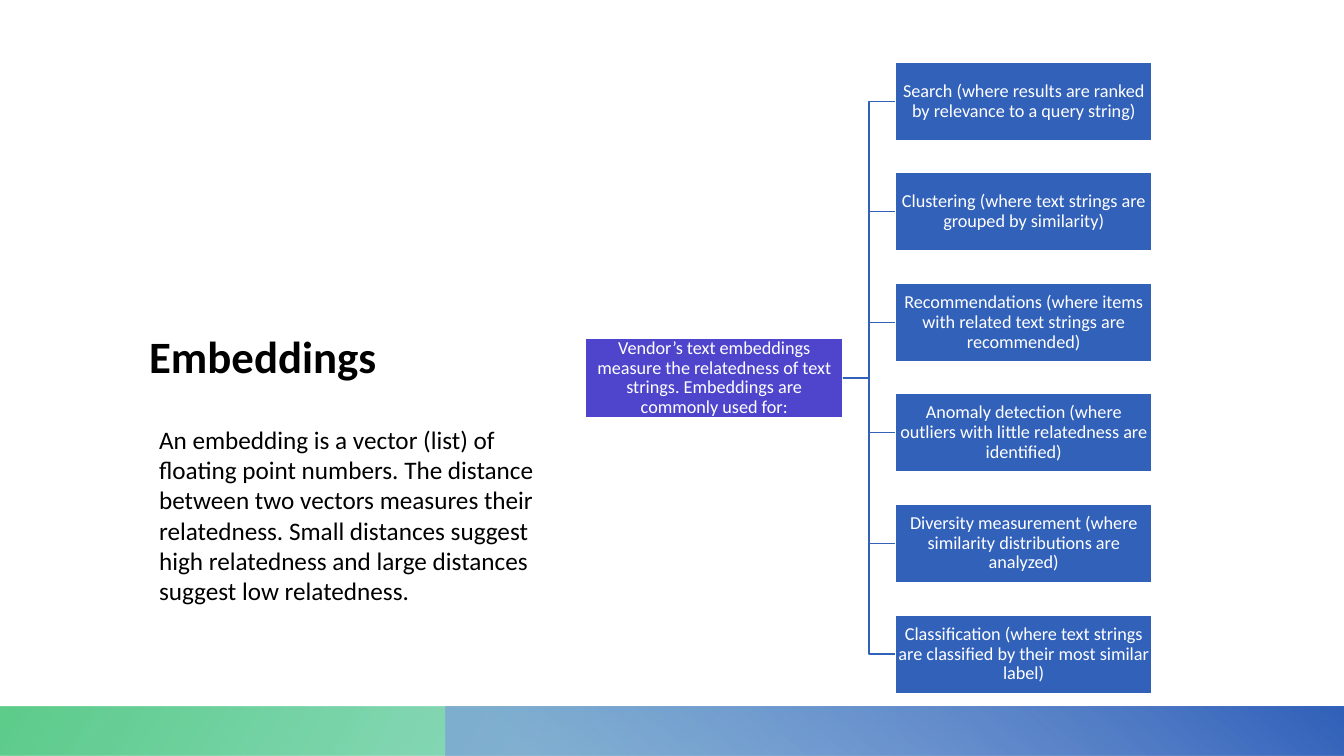
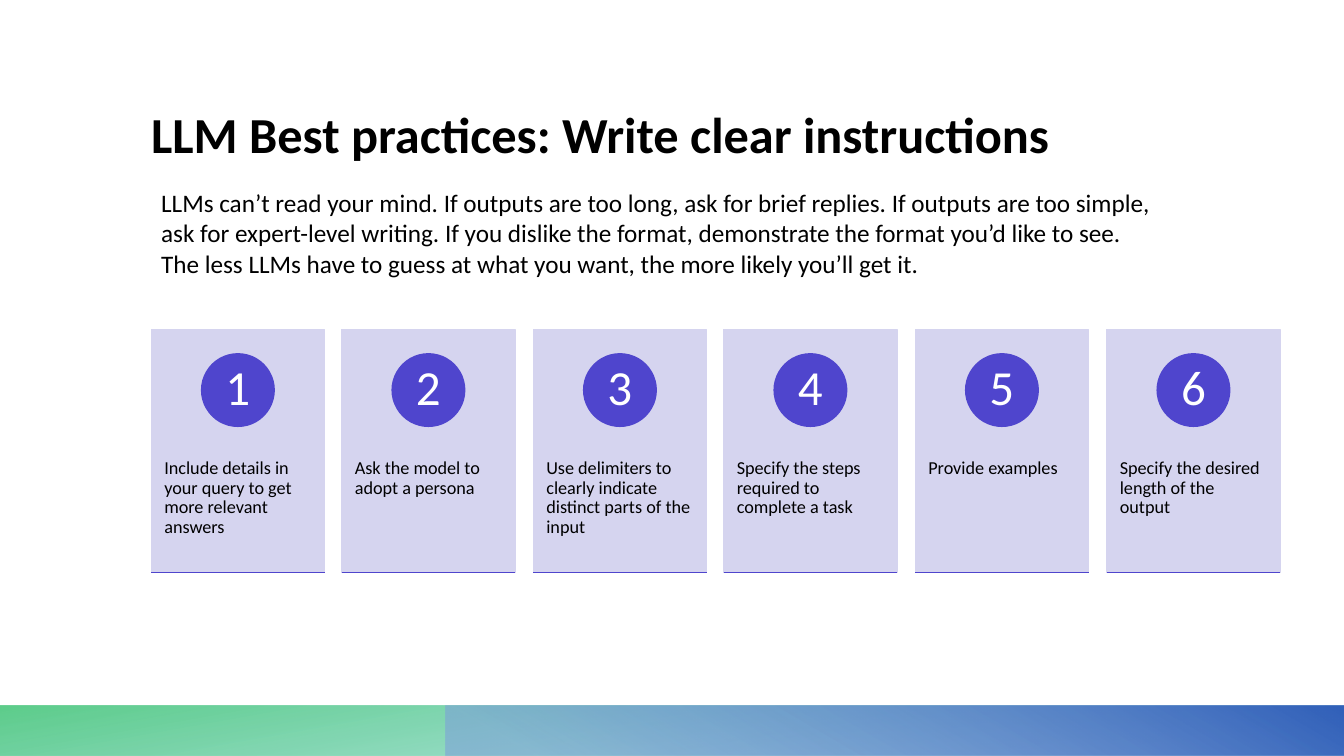
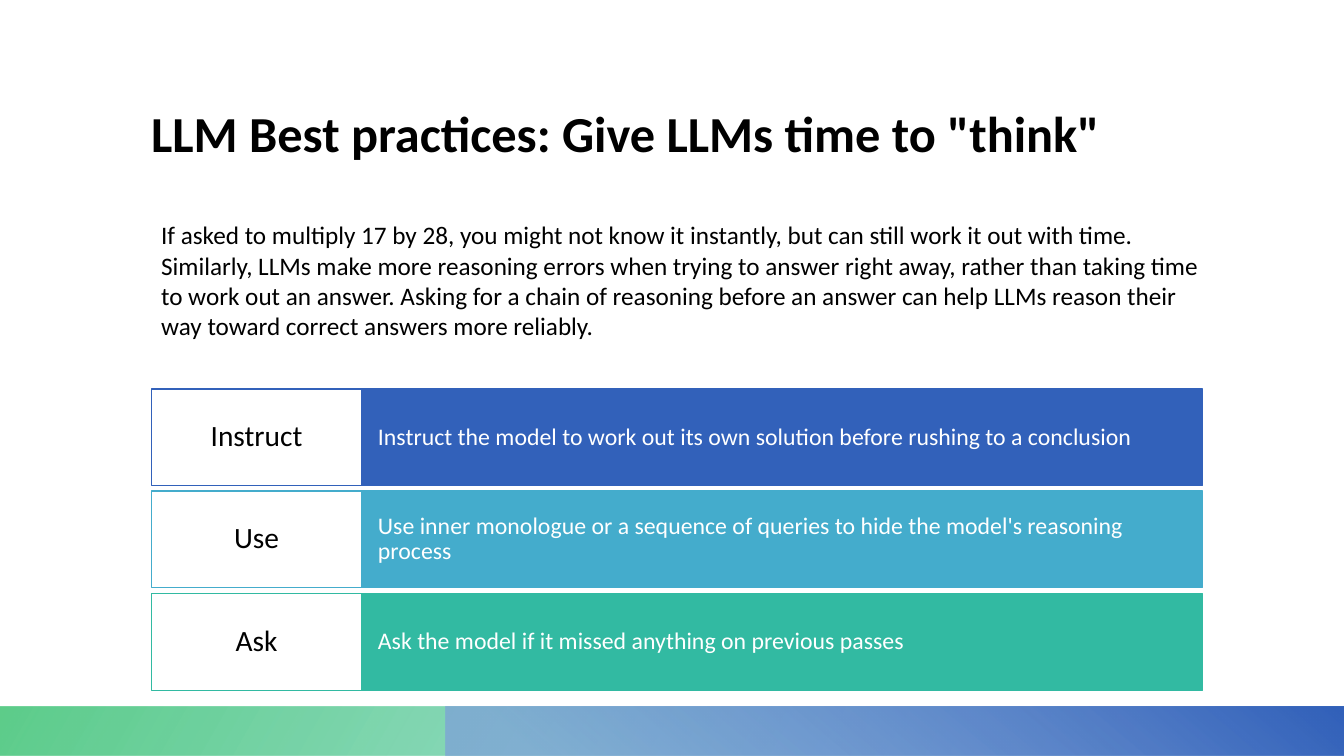
"""Builds three slides on embeddings and on prompting best practices."""
from lxml import etree
from pptx import Presentation
from pptx.dml.color import RGBColor
from pptx.enum import shapes, text
from pptx.oxml import parse_xml
from pptx.oxml.ns import nsdecls, qn

PX = 9144
FONT = "Calibri"
WHITE = RGBColor(0xFF, 0xFF, 0xFF)
BLACK = RGBColor(0, 0, 0)
BLUE = RGBColor(0x32, 0x61, 0xBA)
PALE = RGBColor(0x7D, 0x9E, 0xDC)
VIOLET = RGBColor(0x4F, 0x45, 0xCD)
LILAC = RGBColor(0xD5, 0xD4, 0xEF)
SKY = RGBColor(0x44, 0xAC, 0xCC)
TEAL = RGBColor(0x32, 0xBA, 0xA2)
GREEN = RGBColor(0x41, 0xC4, 0x76)
RECT = shapes.MSO_SHAPE.RECTANGLE
OVAL = shapes.MSO_SHAPE.OVAL
ELBOW = shapes.MSO_CONNECTOR.ELBOW
LINE = shapes.MSO_CONNECTOR.STRAIGHT
LEFT, MID = text.PP_ALIGN.LEFT, text.PP_ALIGN.CENTER
TOP, CORE, BASE = (text.MSO_ANCHOR.TOP, text.MSO_ANCHOR.MIDDLE,
                   text.MSO_ANCHOR.BOTTOM)


def draw(slide, kind, box, fill, edge):
    """Add a flat preset shape, or a connector when fill is None."""
    spots = [n * PX for n in box]
    if fill is None:
        item = slide.shapes.add_connector(kind, *spots)
        etree.SubElement(item._element.spPr, qn("a:effectLst"))
    else:
        item = slide.shapes.add_shape(kind, *spots)
        item.shadow.inherit = False
        item.fill.solid()
        item.fill.fore_color.rgb = fill
    item.line.color.rgb = edge
    item.line.width = 12700
    return item


def write(item, words, size, tint, align, anchor, inset, space=0.9):
    """Fill a shape with one paragraph and return the paragraph."""
    frame = item.text_frame
    frame.word_wrap = True
    frame.auto_size = text.MSO_AUTO_SIZE.NONE
    frame.vertical_anchor = anchor
    (frame.margin_left, frame.margin_top,
     frame.margin_right, frame.margin_bottom) = [n * PX for n in inset]
    para = frame.paragraphs[0]
    para.text = words
    para.alignment = align
    para.line_spacing = space
    para.font.name = FONT
    para.font.size = size * 12700
    para.font.color.rgb = tint
    return para


deck = Presentation()
deck.slide_width, deck.slide_height = 12192000, 6858000

pages = [
    ("Embeddings", (148, 112, 364, 489), 32, CORE, (701, 150, 230, 68),
     "An embedding is a vector (list) of floating point numbers. The distance "
     "between two vectors measures their relatedness. Small distances suggest "
     "high relatedness and large distances suggest low relatedness.",
     (148, 416, 392, 192)),
    ("LLM Best practices: Write clear instructions", (150, 87, 1120, 76), 36,
     BASE, (700, 100, 240, 55),
     "LLMs can’t read your mind. If outputs are too long, ask for brief "
     "replies. If outputs are too simple, ask for expert-level writing. If you "
     "dislike the format, demonstrate the format you’d like to see. The less "
     "LLMs have to guess at what you want, the more likely you’ll get it.",
     (150, 181, 1011, 101)),
    ('LLM Best practices: Give LLMs time to "think"', (150, 52, 1033, 110), 36,
     BASE, (701, 150, 230, 68),
     "If asked to multiply 17 by 28, you might not know it instantly, but can "
     "still work it out with time. Similarly, LLMs make more reasoning errors "
     "when trying to answer right away, rather than taking time to work out an "
     "answer. Asking for a chain of reasoning before an answer can help LLMs "
     "reason their way toward correct answers more reliably.",
     (150, 213, 1058, 131)),
]
slides = []
for head, box, size, anchor, foot, note, spot in pages:
    slide = deck.slides.add_slide(deck.slide_layouts[5])
    slides.append(slide)
    title = slide.shapes.title
    title.left, title.top, title.width, title.height = [n * PX for n in box]
    para = write(title, head, size, BLACK, LEFT, anchor, (0, 0, 0, 0))
    para.font.bold = True

    top, lean, tilt, fade = foot
    bands = [(0, 1333, 180, lean, (14, TEAL, 28), (100, GREEN, 85)),
             (442, 892, 0, tilt, (9, PALE, fade), (99, BLUE, 100))]
    for left, wide, turn, angle, *stops in bands:
        band = draw(slide, RECT, (left, top, wide, 750 - top), WHITE, WHITE)
        band.line.fill.background()
        band.rotation = turn
        band._element.spPr.find(qn("a:xfrm")).set("flipH", "1")
        marks = "".join(
            f'<a:gs pos="{pos * 1000}"><a:srgbClr val="{tint}">'
            f'<a:alpha val="{alpha * 1000}"/></a:srgbClr></a:gs>'
            for pos, tint, alpha in stops)
        solid = band._element.spPr.find(qn("a:solidFill"))
        solid.getparent().replace(solid, parse_xml(
            f'<a:gradFill {nsdecls("a")} rotWithShape="1">'
            f'<a:gsLst>{marks}</a:gsLst>'
            f'<a:lin ang="{angle * 60000}" scaled="0"/></a:gradFill>'))

    area = slide.shapes.add_textbox(*[n * PX for n in spot])
    write(area, note, 18, BLACK, LEFT, TOP, (10, 5, 10, 5), 1.0)

tree, cards, rows = slides

root = draw(tree, RECT, (581, 336, 255, 78), VIOLET, WHITE)
write(root, "Vendor’s text embeddings measure the relatedness of text strings. "
      "Embeddings are commonly used for:", 13, WHITE, MID, CORE, (1, 1, 1, 1))
uses = [
    "Search (where results are ranked by relevance to a query string)",
    "Clustering (where text strings are grouped by similarity)",
    "Recommendations (where items with related text strings are recommended)",
    "Anomaly detection (where outliers with little relatedness are identified)",
    "Diversity measurement (where similarity distributions are analyzed)",
    "Classification (where text strings are classified by their most similar "
    "label)",
]
for i, use in enumerate(uses):
    top = 62 + 548 * i // 5
    leaf = draw(tree, RECT, (888, top, 255, 78), BLUE, WHITE)
    write(leaf, use, 13, WHITE, MID, CORE, (1, 1, 1, 1))
    link = draw(tree, ELBOW, (836, 375, 888, top + 39), None, BLUE)
    link.begin_connect(root, 3)
    link.end_connect(leaf, 1)

tips = [
    "Include details in your query to get more relevant answers",
    "Ask the model to adopt a persona",
    "Use delimiters to clearly indicate distinct parts of the input",
    "Specify the steps required to complete a task",
    "Provide examples",
    "Specify the desired length of the output",
]
for i, tip in enumerate(tips):
    left = 150 + 948 * i // 5
    card = draw(cards, RECT, (left, 327, 172, 241), LILAC, LILAC)
    write(card, tip, 13, BLACK, LEFT, TOP, (13, 128, 13, 4))
    disc = draw(cards, OVAL, (left + 50, 351, 72, 72), VIOLET, VIOLET)
    write(disc, str(i + 1), 35, WHITE, MID, CORE, (1, 1, 1, 1))
    draw(cards, LINE, (left, 568, left + 172, 568), None, VIOLET)

steps = [
    ("Instruct", BLUE, "Instruct the model to work out its own solution before "
     "rushing to a conclusion"),
    ("Use", SKY, "Use inner monologue or a sequence of queries to hide the "
     "model's reasoning process"),
    ("Ask", TEAL, "Ask the model if it missed anything on previous passes"),
]
for i, (verb, tint, step) in enumerate(steps):
    top = 386 + 203 * i // 2
    bar = draw(rows, RECT, (359, top, 834, 96), tint, tint)
    write(bar, step, 17, WHITE, LEFT, CORE, (16, 24, 16, 24))
    key = draw(rows, RECT, (150, top, 209, 96), WHITE, tint)
    write(key, verb, 21, BLACK, MID, CORE, (11, 9, 11, 9))

deck.save("out.pptx")
